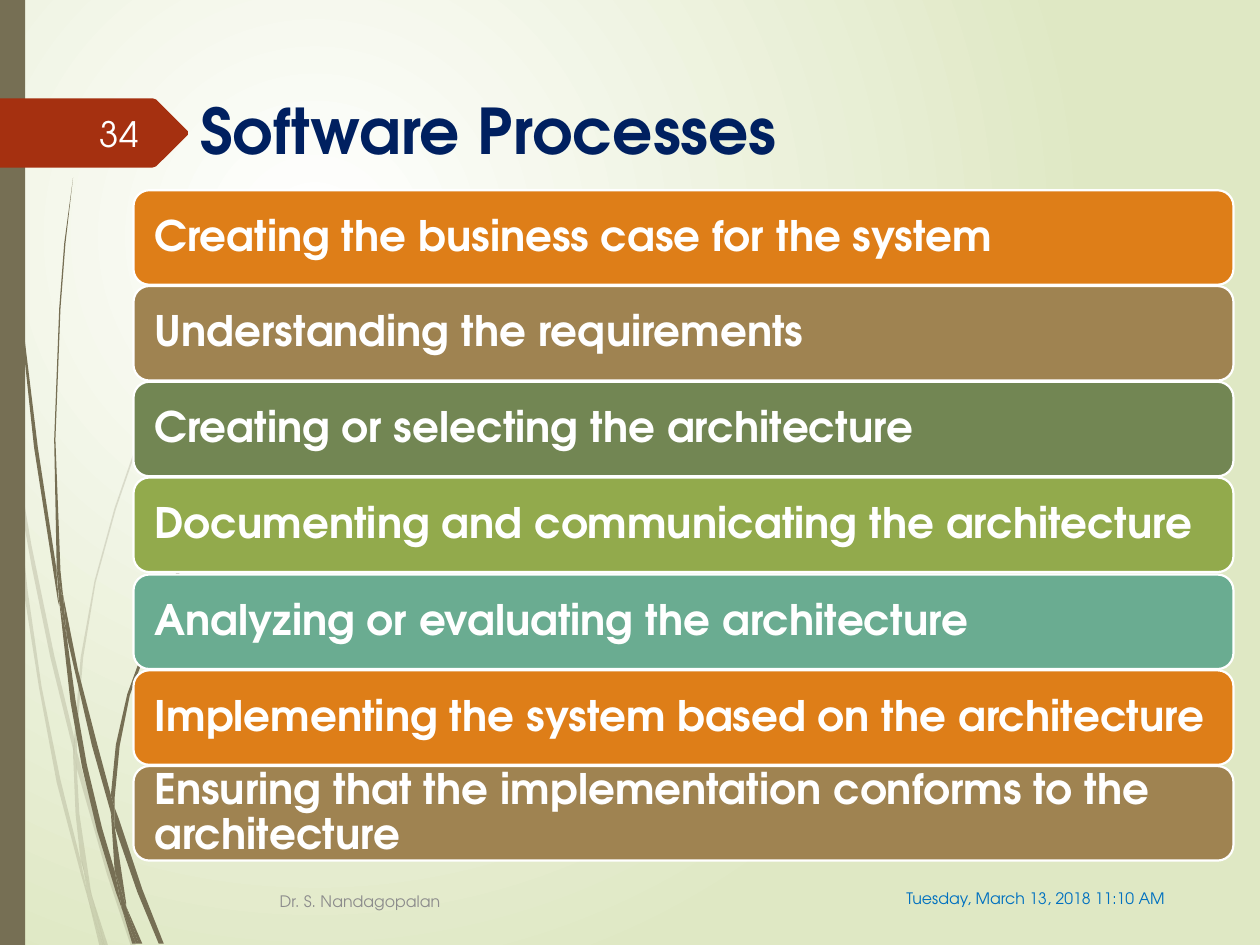
from dataclasses import dataclass

from lxml import etree
from pptx import Presentation
from pptx import util as u
from pptx.dml.color import RGBColor
from pptx.enum import shapes, text
from pptx.oxml.ns import qn

PX = 9144  # 100 px to the inch


@dataclass(frozen=True)
class Theme:
    font: str = "TeX Gyre Adventor"
    white: str = "FFFFFF"
    edge: str = "DFE8C4"
    reed: str = "766F54"
    tag: str = "A53010"
    title: str = "002060"
    date: str = "0070C0"
    footer: str = "8C8C8C"
    bars: tuple = ("DE7E18", "9F8351", "728653", "92AA4C", "6AAC91")
    title_size: int = 36
    bar_size: int = 24
    number_size: int = 20
    footer_size: int = 9


THEME = Theme()

STEPS = (
    "Creating the business case for the system",
    "Understanding the requirements",
    "Creating or selecting the architecture",
    "Documenting and communicating the architecture",
    "Analyzing or evaluating the architecture",
    "Implementing the system based on the architecture",
    "Ensuring that the implementation conforms to the architecture",
)

# Outlines of the grass blades, as "x,y" corners in px
PALE_REEDS = (
    "8,350 6,322 0,282 0,299 7,344",
    "40,522 59,599 59,586 43,520 25,433 10,345 12,376 25,449",
    "64,607 61,596 61,610 85,694 104,751 108,751 88,692 76,650",
    "83,751 86,751 73,711",
    "64,683 48,619 33,545 22,469 12,376 8,350 19,470 31,546 45,621 64,693 70,714 69,707",
    "58,599 60,646 64,683 67,692 73,711 72,706 63,646 61,610 61,608",
    "61,584 66,522 76,462 92,404 111,349 159,245 187,198 201,175 217,154 217,153 "
    "201,175 186,197 158,244 110,348 91,403 75,461 64,522 59,584 59,586 61,596",
    "70,714 79,751 82,751",
    "61,608 61,610 61,596 59,586 58,599",
    "67,692 65,683 69,707 70,714 82,751 83,751 73,711",
)
DARK_REEDS = (
    "5,110 14,233 27,355 46,477 47,481 45,457 45,453 30,355 15,232 6,109 4,48 3,0 2,0 3,48",
    "73,592 88,645 88,633 88,631 77,590 62,532 50,472 53,505",
    "94,649 91,641 91,656 109,708 126,749 130,749 113,706",
    "91,691 81,657 69,607 60,556 53,505 47,477 56,557 65,608 77,659 92,708 97,722 96,717",
    "50,472 48,453 44,349 48,245 52,193 58,141 51,193 47,245 43,349 45,449 49,472",
    "110,749 113,749 100,719",
    "47,477 53,505 50,472 49,472 45,449 45,453",
    "91,633 95,592 103,552 131,476 169,406 191,374 203,359 216,344 215,344 "
    "203,358 191,373 168,405 129,474 101,551 92,591 88,631 91,641",
    "97,722 105,749 108,749",
    "88,645 91,691 96,706 100,719 100,716 91,656 90,651",
    "88,645 90,651 91,656 91,641 88,631 88,633",
    "96,706 91,691 96,717 97,722 108,749 110,749 100,719",
)
NUMBER_TAG = "0,78 121,78 124,79 149,104 149,107 124,132 121,133 0,133"


def px(*lengths):
    return [u.Emu(length * PX) for length in lengths]


def paint(shape, color, opacity=100, line=None):
    shape.shadow.inherit = False
    shape.fill.solid()
    shape.fill.fore_color.rgb = RGBColor.from_string(color)
    if opacity < 100:
        tint = shape.element.spPr.find(".//" + qn("a:srgbClr"))
        etree.SubElement(tint, qn("a:alpha")).set("val", str(opacity * 1000))
    if line:
        shape.line.color.rgb = RGBColor.from_string(line)
        shape.line.width = u.Pt(1.25)
    else:
        shape.line.fill.background()


def write(shape, words, *, size, color, bold=False, align=text.PP_ALIGN.LEFT,
          anchor=text.MSO_ANCHOR.MIDDLE, insets=(10, 5, 10, 5), spacing=1.0):
    frame = shape.text_frame
    frame.word_wrap = True
    frame.vertical_anchor = anchor
    (frame.margin_left, frame.margin_top,
     frame.margin_right, frame.margin_bottom) = px(*insets)
    para = frame.paragraphs[0]
    para.alignment = align
    para.line_spacing = spacing
    span = para.add_run()
    span.text = words
    span.font.name = THEME.font
    span.font.size = u.Pt(size)
    span.font.bold = bold
    span.font.color.rgb = RGBColor.from_string(color)


def add_label(page, at, words, **style):
    write(page.shapes.add_textbox(*px(*at)), words, **style)


def add_outline(parent, corners, color, opacity=100):
    points = [tuple(map(int, corner.split(","))) for corner in corners.split()]
    builder = parent.build_freeform(*points[0], scale=PX)
    builder.add_line_segments(points[1:], close=True)
    paint(builder.convert_to_shape(), color, opacity)


def add_reeds(page, outlines, opacity=100):
    group = page.shapes.add_group_shape()
    for corners in outlines:
        add_outline(group.shapes, corners, THEME.reed, opacity)


def add_glow(page):
    """Fill the background with a round gradient centred at the upper left."""
    fill = page.background.fill
    fill.gradient()
    for stop, color in zip(fill.gradient_stops, (THEME.white, THEME.edge)):
        stop.color.rgb = RGBColor.from_string(color)
    gradient = page.element.find(".//" + qn("a:gradFill"))
    gradient.remove(gradient.find(qn("a:lin")))
    circle = etree.SubElement(gradient, qn("a:path"))
    circle.set("path", "circle")
    focus = etree.SubElement(circle, qn("a:fillToRect"))
    for side, share in zip("ltrb", (50, 50, 100, 100)):
        focus.set(side, str(share * 1000))


def add_steps(page):
    first, last = 151, 608
    for index, step in enumerate(STEPS):
        top = first + round(index * (last - first) / (len(STEPS) - 1))
        bar = page.shapes.add_shape(
            shapes.MSO_SHAPE.ROUNDED_RECTANGLE, *px(106, top, 873, 75))
        paint(bar, THEME.bars[index % len(THEME.bars)], line=THEME.white)
        write(bar, step, size=THEME.bar_size, color=THEME.white, bold=True,
              insets=(13, 10, 13, 10), spacing=0.9)


def main():
    deck = Presentation()
    deck.slide_width, deck.slide_height = px(1000, 750)
    page = deck.slides.add_slide(deck.slide_layouts[6])
    add_glow(page)
    add_reeds(page, PALE_REEDS, opacity=20)
    add_reeds(page, DARK_REEDS)
    stripe = page.shapes.add_shape(shapes.MSO_SHAPE.RECTANGLE, *px(0, 0, 20, 750))
    paint(stripe, THEME.reed)
    add_outline(page.shapes, NUMBER_TAG, THEME.tag)
    add_label(page, (149, 68, 785, 104), "Software Processes", size=THEME.title_size,
              color=THEME.title, bold=True, anchor=text.MSO_ANCHOR.TOP)
    add_steps(page)
    add_label(page, (696, 695, 238, 36), "Tuesday, March 13, 2018 11:10 AM",
              size=THEME.footer_size, color=THEME.date, align=text.PP_ALIGN.RIGHT)
    add_label(page, (212, 695, 625, 40), "Dr. S. Nandagopalan",
              size=THEME.footer_size, color=THEME.footer)
    add_label(page, (56, 86, 64, 40), "34", size=THEME.number_size,
              color=THEME.white, align=text.PP_ALIGN.RIGHT)
    deck.save("out.pptx")


if __name__ == "__main__":
    main()
